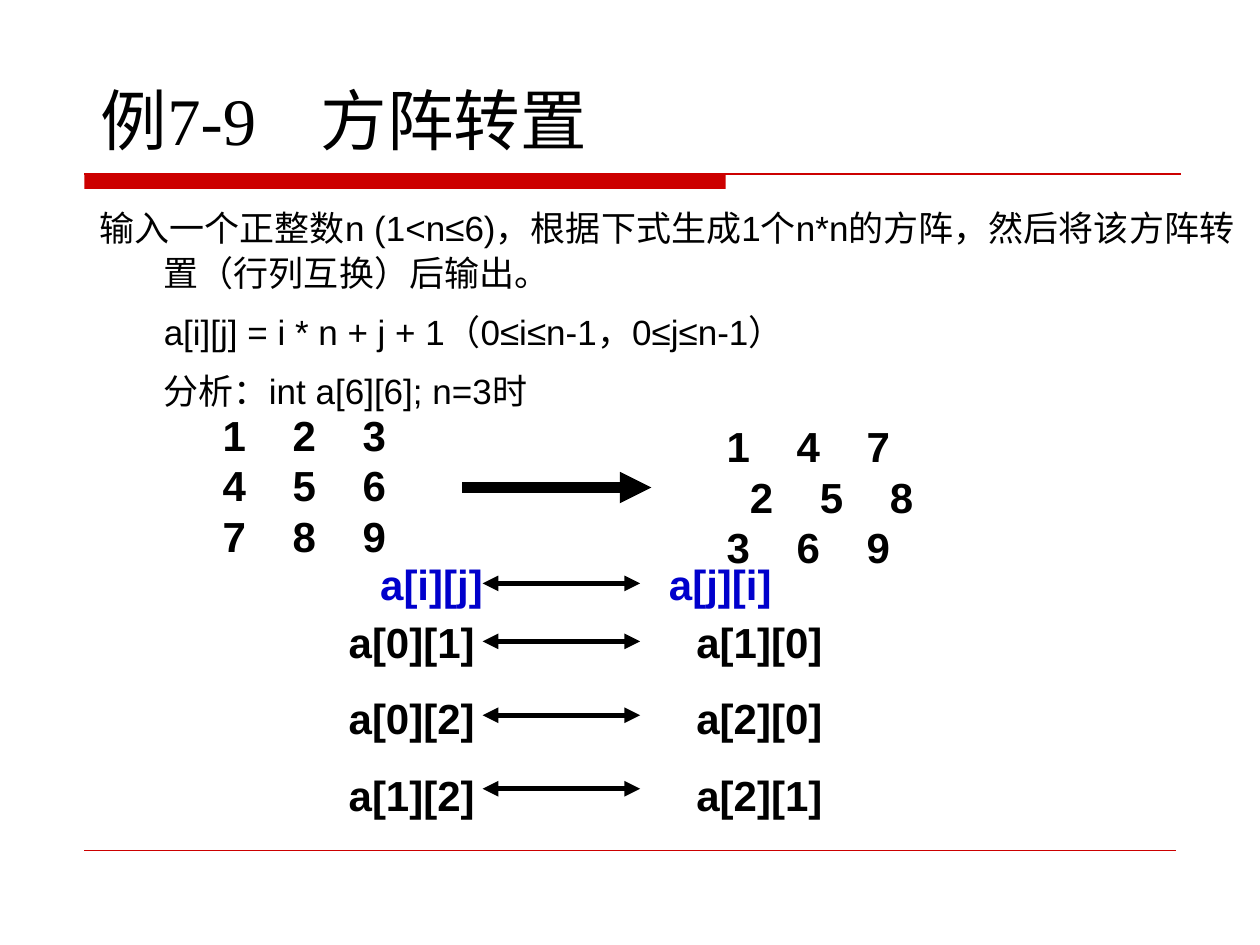
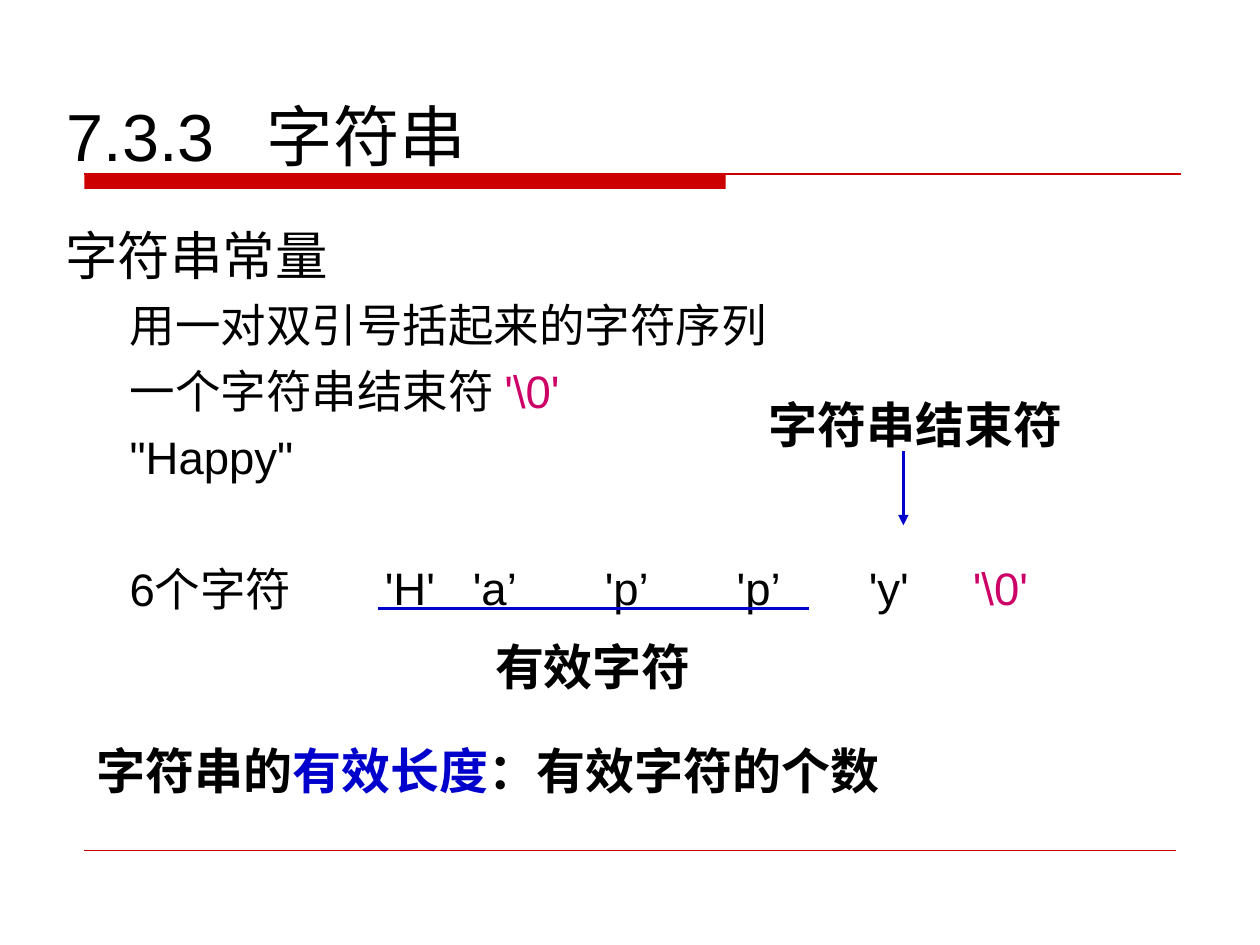
import pptx
import pptx.util
import pptx.dml.color
import pptx.enum.shapes
import pptx.enum.text
import pptx.oxml.ns
from lxml import etree

Pt = pptx.util.Pt
qn = pptx.oxml.ns.qn
hues = {"ink": "000000", "red": "CC0000", "blue": "0000CC", "pink": "CC0066"}


def write(frame, text, size, hue="ink", bold=False, face="Arial", gap=0,
          pitch=None, tabs=(), left=0, hang=0):
    """Append a paragraph; text is a string or a list of (string, hue) runs."""
    first = not frame.text
    para = frame.paragraphs[0] if first else frame.add_paragraph()
    props = para._p.get_or_add_pPr()
    if left:
        props.set("marL", str(Pt(left)))
        props.set("indent", str(Pt(-hang)))
    etree.SubElement(props, qn("a:buNone"))
    if tabs:
        stops = etree.SubElement(props, qn("a:tabLst"))
        for stop in tabs:
            etree.SubElement(stops, qn("a:tab"), pos=str(Pt(stop)), algn="l")
    para.alignment = pptx.enum.text.PP_ALIGN.LEFT
    para.space_before = Pt(0 if first else gap)
    para.line_spacing = Pt(pitch) if pitch else 1.0
    para.font.name, para.font.size, para.font.bold = face, Pt(size), bold
    runs = [(text, hue)] if isinstance(text, str) else text
    if len(runs) == 1:
        para.font.color.rgb = pptx.dml.color.RGBColor.from_string(hues[runs[0][1]])
    for part, tint in runs:
        run = para.add_run()
        run.text = part
        if len(runs) > 1:
            run.font.color.rgb = pptx.dml.color.RGBColor.from_string(hues[tint])


def rule(slide, x1, y1, x2, y2, hue, width, ends=()):
    """Draw a straight line; ends lists headEnd and tailEnd arrowheads."""
    line = slide.shapes.add_connector(
        pptx.enum.shapes.MSO_CONNECTOR.STRAIGHT, Pt(x1), Pt(y1), Pt(x2), Pt(y2))
    line.line.color.rgb = pptx.dml.color.RGBColor.from_string(hues[hue])
    line.line.width = Pt(width)
    for end in ends:
        etree.SubElement(line.line._get_or_add_ln(), qn("a:" + end), type="triangle")
    etree.SubElement(line._element.spPr, qn("a:effectLst"))


deck = pptx.Presentation()
deck.slide_width, deck.slide_height = Pt(720), Pt(540)

# Shared frame: title, body, red bar and rules
pages = [
    ("例7-9\t方阵转置", "Times New Roman", 125.7,
     (50.4, 28.1, 354.2, 66.2), (49.7, 112.3, 670.3, 180.7)),
    ("7.3.3\t字符串", "Arial", 114.3,
     (31, 16.6, 290.2, 87.1), (30.2, 123.8, 660.2, 270)),
]
for name, face, stop, head, main in pages:
    slide = deck.slides.add_slide(deck.slide_layouts[1])
    for hold, spot in zip(slide.placeholders, (head, main)):
        hold.left, hold.top, hold.width, hold.height = map(Pt, spot)
        hold.text_frame.auto_size = pptx.enum.text.MSO_AUTO_SIZE.NONE
    title = slide.shapes.title.text_frame
    title.vertical_anchor = pptx.enum.text.MSO_ANCHOR.BOTTOM
    write(title, name, 38, face=face, tabs=[stop])
    bar = slide.shapes.add_shape(pptx.enum.shapes.MSO_SHAPE.RECTANGLE,
                                 Pt(48.2), Pt(99.4), Pt(366.5), Pt(8.6))
    bar.shadow.inherit = False
    bar.fill.solid()
    bar.fill.fore_color.rgb = pptx.dml.color.RGBColor.from_string(hues["red"])
    bar.line.fill.background()
    rule(slide, 48.2, 99.4, 674.6, 99.4, "red", 0.75)
    rule(slide, 48.2, 486, 671.8, 486, "red", 0.25)

# Slide 1: the task
slide = deck.slides[0]
body = slide.placeholders[1].text_frame
write(body, "输入一个正整数n (1<n≤6)，根据下式生成1个n*n的方阵，然后将该方阵转置（行列互换）后输出。",
      20, pitch=26, left=36.7, hang=36.7)
for text in ("a[i][j] = i * n + j + 1（0≤i≤n-1，0≤j≤n-1）",
             "分析：int a[6][6]; n=3时"):
    write(body, text, 20, gap=7.5, pitch=26, left=71.3, hang=34.6)

# Slide 1: both matrices, then each side of the swapped pairs
col = 40
grid = [col, 2 * col]
shift = [13.3 + n * col for n in range(3)]
blocks = [
    ((120.2, 230.4, 138.2, 93.6), "ink", 0,
     [("1\t2\t3", grid), ("4\t5\t6", grid), ("7\t8\t9", grid)]),
    ((408.2, 236.9, 138.2, 93.6), "ink", 0,
     [("1\t4\t7", grid), ("\t2\t5\t8", shift), ("3\t6\t9", grid)]),
    ((192.2, 348.5, 100, 123.1), "ink", 15,
     [("a[0][1]", ()), ("a[0][2]", ()), ("a[1][2]", ())]),
    ((390.9, 348.5, 100, 123.1), "ink", 15,
     [("a[1][0]", ()), ("a[2][0]", ()), ("a[2][1]", ())]),
    ((210.2, 315.4, 100, 36), "blue", 0, [("a[i][j]", ())]),
    ((375.2, 315.4, 100, 36), "blue", 0, [("a[j][i]", ())]),
]
for spot, hue, gap, rows in blocks:
    frame = slide.shapes.add_textbox(*map(Pt, spot)).text_frame
    frame.word_wrap = True
    for text, tabs in rows:
        write(frame, text, 24, hue, True, gap=gap, pitch=28.8, tabs=tabs)
rule(slide, 264.2, 278.6, 372.2, 278.6, "ink", 6, ["tailEnd"])
for y in (333.4, 366.5, 408.7, 450.7):
    rule(slide, 275.8, y, 365.8, y, "ink", 3, ["headEnd", "tailEnd"])

# Slide 2: string constants
slide = deck.slides[1]
body = slide.placeholders[1].text_frame
write(body, "字符串常量", 30, left=36.7, hang=36.7)
for text, gap in (("用一对双引号括起来的字符序列", 6.5),
                  ([("一个字符串结束符 ", "ink"), ("'\\0'", "pink")], 6.5),
                  ('"Happy"', 6.5), ("6个字符", 44)):
    write(body, text, 26, gap=gap, left=71.3, hang=34.6)

# Slide 2: the six characters and the labels
chars = [("'H'", 0), ("'a’", 50.3), ("'p’", 125.7), ("'p’", 201.1),
         ("'y'", 276.6), ("'\\0'", 336)]
notes = [((212.8 + x, 316.7, 60, 37), [(text, "pink" if "0" in text else "ink")],
          26, False) for text, x in chars]
notes += [
    ((275.8, 360, 138.2, 48.2), "有效字符", 28, True),
    ((432, 221.8, 185.8, 36), "字符串结束符", 28, True),
    ((48.2, 419.8, 504, 59.8),
     [("字符串的", "ink"), ("有效长度", "blue"), ("：有效字符的个数", "ink")],
     28, True),
]
for spot, text, size, bold in notes:
    frame = slide.shapes.add_textbox(*map(Pt, spot)).text_frame
    frame.word_wrap = True
    write(frame, text, size, bold=bold)
rule(slide, 216, 347.8, 462.2, 347.8, "blue", 2)
rule(slide, 516.2, 257.8, 516.2, 300.2, "blue", 2, ["tailEnd"])

deck.save("out.pptx")
